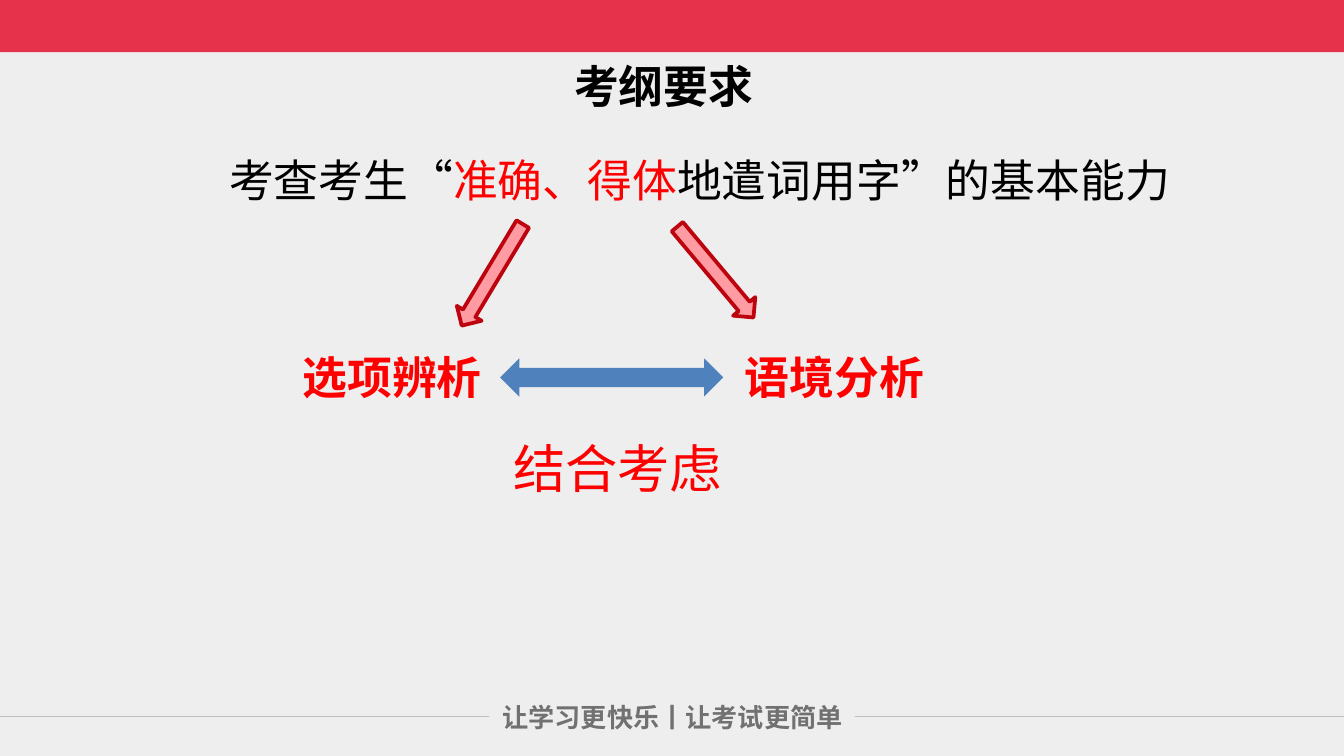
import pptx
import pptx.util
import pptx.dml.color
import pptx.enum.lang
import pptx.enum.shapes
import pptx.enum.text
import pptx.oxml.ns
import lxml.etree
from dataclasses import dataclass

Pt = pptx.util.Pt
SHAPE = pptx.enum.shapes.MSO_SHAPE
ALIGN = pptx.enum.text.PP_ALIGN
ANCHOR = pptx.enum.text.MSO_ANCHOR
FIT = pptx.enum.text.MSO_AUTO_SIZE


@dataclass
class Theme:
    page: str = "EEEEEE"
    banner: str = "E6324B"
    ink: str = "000000"
    accent: str = "FF0000"
    footer: str = "727171"
    rule: str = "BFBFBF"
    arrow_fill: str = "FF9BA2"
    arrow_line: str = "BC030E"
    link: str = "4F81BD"
    font: str = "Arial"
    body_font: str = "Noto Sans CJK SC"
    footer_font: str = "Noto Sans CJK JP"
    text_size: int = 24
    summary_size: int = 28
    footer_size: int = 14


def rgb(value):
    return pptx.dml.color.RGBColor.from_string(value)


def apply(target, values):
    for name, value in values.items():
        setattr(target, name, value)


class Deck:
    def __init__(self, prs, theme):
        self.theme = theme
        self.slide = prs.slides.add_slide(prs.slide_layouts[1])
        self.slide.background.fill.solid()
        self.slide.background.fill.fore_color.rgb = rgb(theme.page)

    def set_runs(self, sp, runs, frame=None, para=None, **font):
        tf = sp.text_frame
        apply(tf, {"word_wrap": True, **(frame or {})})
        p = tf.paragraphs[0]
        apply(p, {"alignment": ALIGN.LEFT, **(para or {})})
        base = {"name": self.theme.font, "size": Pt(self.theme.text_size), "bold": False,
                "language_id": pptx.enum.lang.MSO_LANGUAGE_ID.SIMPLIFIED_CHINESE}
        for text, color in runs:
            r = p.add_run()
            r.text = text
            apply(r.font, {**base, **font})
            r.font.color.rgb = rgb(color)
        return p

    def placeholder(self, idx, box, runs, align, **font):
        sp = self.slide.placeholders[idx]
        apply(sp, dict(zip(("left", "top", "width", "height"), map(Pt, box))))
        frame = {"auto_size": FIT.NONE, "vertical_anchor": ANCHOR.MIDDLE}
        para = {"alignment": align, "space_before": Pt(0)}
        p = self.set_runs(sp, runs, frame, para, **font)
        pPr = p._p.get_or_add_pPr()
        for name in ("marL", "indent"):
            pPr.set(name, "0")
        lxml.etree.SubElement(pPr, pptx.oxml.ns.qn("a:buNone"))

    def text(self, box, text, color, frame=None, para=None, **font):
        sp = self.slide.shapes.add_textbox(*map(Pt, box))
        frame = {"auto_size": FIT.SHAPE_TO_FIT_TEXT, **(frame or {})}
        self.set_runs(sp, [(text, color)], frame, para, **font)

    def shape(self, kind, box, fill, line=None, rotation=0):
        sp = self.slide.shapes.add_shape(kind, *map(Pt, box))
        sp.shadow.inherit = False
        sp.rotation = rotation
        sp.fill.solid()
        sp.fill.fore_color.rgb = rgb(fill)
        if line:
            sp.line.color.rgb = rgb(line)
            sp.line.width = Pt(2)
        else:
            sp.line.fill.background()

    def rule(self, x1, x2, y):
        kind = pptx.enum.shapes.MSO_CONNECTOR.STRAIGHT
        cn = self.slide.shapes.add_connector(kind, Pt(x1), Pt(y), Pt(x2), Pt(y))
        cn.line.color.rgb = rgb(self.theme.rule)
        cn.line.width = Pt(0.75)
        lxml.etree.SubElement(cn._element.spPr, pptx.oxml.ns.qn("a:effectLst"))


prs = pptx.Presentation()
apply(prs, {"slide_width": Pt(720), "slide_height": Pt(405)})
theme = Theme()
deck = Deck(prs, theme)

deck.shape(SHAPE.RECTANGLE, (0, 0, 720, 28), theme.banner)
deck.text((262, 372, 206, 31), "让学习更快乐丨让考试更简单", theme.footer,
          name=theme.footer_font, size=Pt(theme.footer_size), bold=True)
for x1, x2 in ((0, 262), (458, 720)):
    deck.rule(x1, x2, 384)

deck.placeholder(0, (50, 28, 611, 36), [("考纲要求", theme.ink)], ALIGN.CENTER, bold=True)
deck.placeholder(1, (115.5, 78, 545.5, 36), [
    ("考查考生“", theme.ink),
    ("准确、得体", theme.accent),
    ("地遣词用字”的基本能力", theme.ink),
], ALIGN.LEFT, name=theme.body_font)

for left, top, rotation in ((232, 139.5, 301), (351.5, 138, 230)):
    deck.shape(SHAPE.LEFT_ARROW, (left, top, 63.5, 15.5),
               theme.arrow_fill, theme.arrow_line, rotation)

for left, label in ((155, "选项辨析"), (392, "语境分析")):
    deck.text((left, 184, 132, 36), label, theme.accent, bold=True)
deck.shape(SHAPE.LEFT_RIGHT_ARROW, (268, 192, 119.5, 20.5), theme.link)
deck.text((268, 220, 127, 51), "结合考虑", theme.accent, {"word_wrap": False},
          {"line_spacing": 1.3}, size=Pt(theme.summary_size))

prs.save("out.pptx")
